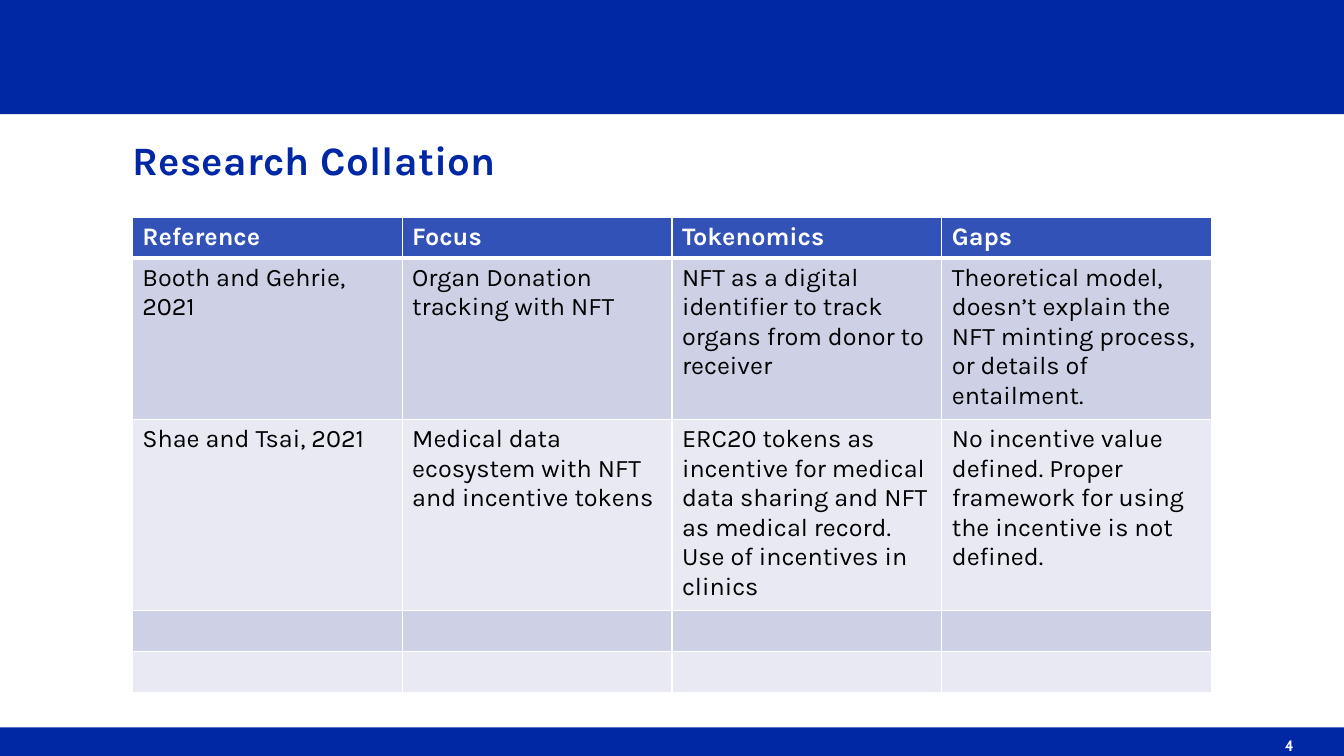
import pptx
import pptx.dml.color
import pptx.enum.shapes
import pptx.enum.text
import pptx.oxml
import pptx.oxml.ns
import pptx.util

Pt = pptx.util.Pt

# Content
TITLE = "Research Collation"
PAGE_NUMBER = "4"
HEADINGS = ("Reference", "Focus", "Tokenomics", "Gaps")
STUDIES = [
    ("Booth and Gehrie, 2021",
     "Organ Donation tracking with NFT",
     "NFT as a digital identifier to track organs from donor to receiver",
     "Theoretical model, doesn’t explain the NFT minting process, or details of entailment."),
    ("Shae and Tsai, 2021",
     "Medical data ecosystem with NFT and incentive tokens",
     "ERC20 tokens as incentive for medical data sharing and NFT as medical record. "
     "Use of incentives in clinics",
     "No incentive value defined. Proper framework for using the incentive is not defined."),
    ("",) * 4,
    ("",) * 4,
]

# Theme
THEME = {
    "brand": "0028A5", "heading": "3252B7", "bands": ("CED1E6", "E8E9F3"),
    "light": "FFFFFF", "dark": "000000",
    "font": "Karla", "number_font": "Cabin",
    "title_size": 28.8, "table_size": 18, "number_size": 10.8,
}

# Layout, in points
SLIDE_W, SLIDE_H = 960, 540
HEADER_H, FOOTER_H = 81.5, 20.5
MARGIN = 94.5
CONTENT_W = SLIDE_W - 2 * MARGIN
TITLE_TOP, TITLE_H = 93.5, 39.5
TABLE_TOP, ROW_H = 155, 29.3
NUMBER_BOX = (882.5, 525, 77, 15)


def colour(value):
    return pptx.dml.color.RGBColor.from_string(value)


def set_all(target, values):
    for key, value in values.items():
        setattr(target, key, value)


def write(paragraph, text, size, ink, font, bold):
    run = paragraph.add_run()
    run.text = text
    set_all(run.font, {"size": Pt(size), "name": font, "bold": bold})
    run.font.color.rgb = colour(ink)
    return run


def add_band(slide, top, height):
    band = slide.shapes.add_shape(
        pptx.enum.shapes.MSO_SHAPE.RECTANGLE, 0, Pt(top), Pt(SLIDE_W), Pt(height))
    band.shadow.inherit = False
    band.fill.solid()
    band.fill.fore_color.rgb = colour(THEME["brand"])
    band.line.fill.background()


def add_label(slide, box, top_inset, anchor):
    frame = slide.shapes.add_textbox(*map(Pt, box)).text_frame
    set_all(frame, {"margin_left": 0, "margin_right": 0, "margin_bottom": 0,
                    "margin_top": Pt(top_inset), "word_wrap": True,
                    "vertical_anchor": anchor})
    return frame.paragraphs[0]


def set_borders(cell, widths):
    properties = cell._tc.get_or_add_tcPr()
    for position, (side, width) in enumerate(widths.items()):
        border = pptx.oxml.parse_xml(
            f'<a:ln{side} {pptx.oxml.ns.nsdecls("a")} w="{Pt(width)}"><a:solidFill>'
            f'<a:srgbClr val="{THEME["light"]}"/></a:solidFill></a:ln{side}>')
        properties.insert(position, border)


def add_studies(slide):
    rows = [HEADINGS, *STUDIES]
    studies = slide.shapes.add_table(
        len(rows), len(HEADINGS), Pt(MARGIN), Pt(TABLE_TOP),
        Pt(CONTENT_W), Pt(ROW_H * len(rows))).table
    for column in studies.columns:
        column.width = Pt(CONTENT_W / len(HEADINGS))
    for r, texts in enumerate(rows):
        heading = r == 0
        fill = THEME["heading"] if heading else THEME["bands"][(r - 1) % 2]
        ink = THEME["light"] if heading else THEME["dark"]
        # A heavier rule separates the headings from the studies
        widths = {"L": 1, "R": 1, "T": 3 if r == 1 else 1, "B": 3 if heading else 1}
        for c, text in enumerate(texts):
            cell = studies.cell(r, c)
            cell.fill.solid()
            cell.fill.fore_color.rgb = colour(fill)
            set_borders(cell, widths)
            if text:
                write(cell.text_frame.paragraphs[0], text, THEME["table_size"],
                      ink, THEME["font"], heading)


def main():
    deck = pptx.Presentation()
    set_all(deck, {"slide_width": Pt(SLIDE_W), "slide_height": Pt(SLIDE_H)})
    slide = deck.slides.add_slide(deck.slide_layouts[6])

    # Header and footer bands
    add_band(slide, 0, HEADER_H)
    add_band(slide, SLIDE_H - FOOTER_H, FOOTER_H)

    # Title
    anchors = pptx.enum.text.MSO_ANCHOR
    title = add_label(slide, (MARGIN, TITLE_TOP, CONTENT_W, TITLE_H), 3, anchors.TOP)
    title_run = write(title, TITLE, THEME["title_size"], THEME["brand"], THEME["font"], True)
    title_run.font._element.set("spc", "20")

    # Table of studies
    add_studies(slide)

    # Page number
    number = add_label(slide, NUMBER_BOX, 0, anchors.MIDDLE)
    number.alignment = pptx.enum.text.PP_ALIGN.CENTER
    write(number, PAGE_NUMBER, THEME["number_size"], THEME["light"],
          THEME["number_font"], True)

    deck.save("out.pptx")


if __name__ == "__main__":
    main()
